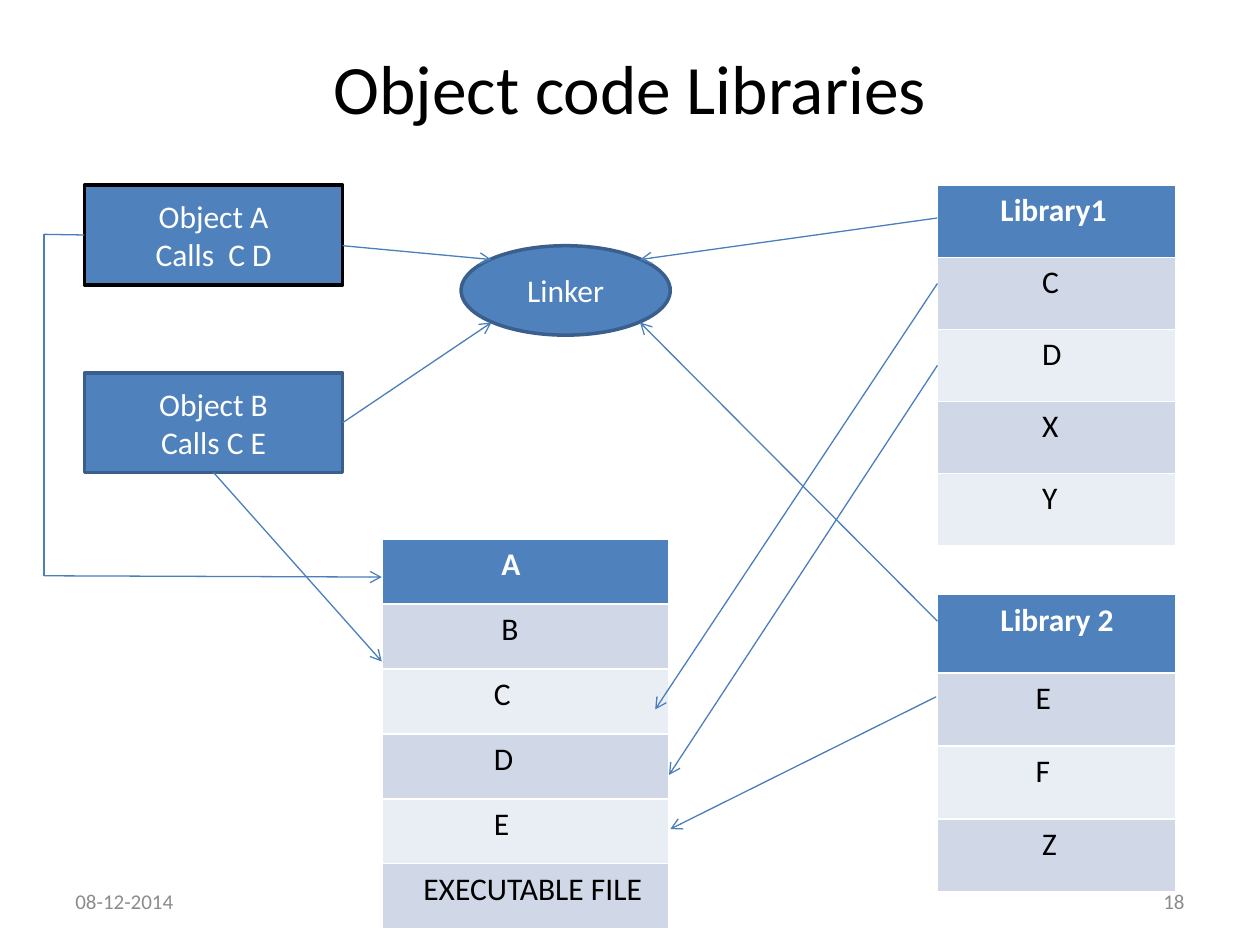
from pptx import Presentation
from pptx.dml.color import RGBColor
from pptx.enum import shapes, text
from pptx.oxml import parse_xml
from pptx.oxml.ns import nsdecls, qn
from pptx.util import Inches, Pt

BLACK = RGBColor(0, 0, 0)
WHITE = RGBColor(255, 255, 255)
GRAY = RGBColor(0x8C, 0x8C, 0x8C)
BLUE = RGBColor(0x4F, 0x81, 0xBD)
EDGE = RGBColor(0x3A, 0x5F, 0x8C)
WIRE = RGBColor(0x4B, 0x7E, 0xBC)
BANDS = [RGBColor(0xD0, 0xD8, 0xE8), RGBColor(0xE9, 0xED, 0xF4)]

RECT, OVAL = shapes.MSO_SHAPE.RECTANGLE, shapes.MSO_SHAPE.OVAL
LEFT, CENTER, RIGHT = text.PP_ALIGN.LEFT, text.PP_ALIGN.CENTER, text.PP_ALIGN.RIGHT

NODES = {
    "object_a": (RECT, (0.67, 1.47, 2.05, 0.79), ["Object A", "Calls  C D"], BLACK),
    "object_b": (RECT, (0.67, 2.96, 2.05, 0.79), ["Object B", "Calls C E"], EDGE),
    "linker": (OVAL, (3.66, 1.95, 1.66, 0.71), ["Linker"], EDGE),
}
TABLES = [
    ((3.03, 4.28, 2.28), [0.515] * 6,
     [("A", 0.95), ("B", 0.95), ("C", 0.89), ("D", 0.89), ("E", 0.89),
      ("EXECUTABLE FILE", 0.33)]),
    ((7.44, 1.47, 1.89), [0.572] * 5,
     [("Library1", 0.5), ("C", 0.83), ("D", 0.83), ("X", 0.83), ("Y", 0.83)]),
    ((7.44, 4.72, 1.89), [0.62] + [0.58] * 3,
     [("Library 2", 0.5), ("E", 0.78), ("F", 0.78), ("Z", 0.83)]),
]
LINES = [
    ((7.44, 2.25), (5.2, 5.63), True, None),
    ((7.44, 2.9), (5.31, 6.15), True, None),
    ((7.43, 5.53), (5.32, 6.58), True, None),
    ((1.69, 3.75), (3.03, 5.25), True, ("object_b", 2)),
    ((0.35, 4.57), (3.03, 4.58), True, None),
    ((0.35, 1.86), (0.35, 4.57), False, None),
    ((0.67, 1.86), (0.35, 1.86), False, ("object_a", 1)),
    ((2.72, 1.95), (3.9, 2.06), True, None),
    ((2.72, 3.34), (3.9, 2.56), True, ("object_b", 3)),
    ((7.44, 4.93), (5.08, 2.56), True, None),
    ((7.44, 1.73), (5.08, 2.06), True, None),
]
FOOTERS = [
    ((0.5, 6.95, 2.33, 0.4), "08-12-2014", LEFT),
    ((7.17, 6.95, 2.33, 0.4), "18", RIGHT),
]


def inches(values):
    return [Inches(v) for v in values]


def write(tf, lines, size, color, align, bold=False):
    tf.word_wrap = True
    for i, line in enumerate(lines):
        p = tf.paragraphs[0] if i == 0 else tf.add_paragraph()
        p.alignment = align
        r = p.add_run()
        r.text = line
        r.font.color.rgb = color
        fmt = {"name": "Calibri", "size": Pt(size), "bold": bold}
        for key, value in fmt.items():
            setattr(r.font, key, value)


def add_node(s, kind, box, lines, edge):
    sp = s.shapes.add_shape(kind, *inches(box))
    sp.shadow.inherit = False
    sp.fill.solid()
    sp.fill.fore_color.rgb = BLUE
    sp.line.color.rgb = edge
    sp.line.width = Pt(2)
    sp.text_frame.vertical_anchor = text.MSO_ANCHOR.MIDDLE
    write(sp.text_frame, lines, 18, WHITE, CENTER)
    return sp


def add_list(s, place, heights, rows):
    frame = s.shapes.add_table(len(rows), 1, *inches((*place, sum(heights))))
    for i, (label, indent) in enumerate(rows):
        frame.table.rows[i].height = Inches(heights[i])
        cell = frame.table.cell(i, 0)
        cell.margin_left = Inches(indent)
        cell.margin_right = 0
        cell.fill.solid()
        cell.fill.fore_color.rgb = BANDS[(i - 1) % 2] if i else BLUE
        write(cell.text_frame, [label], 18, BLACK if i else WHITE, LEFT, i == 0)


def add_line(s, start, end, arrow, joint, nodes):
    c = s.shapes.add_connector(shapes.MSO_CONNECTOR.STRAIGHT, *inches(start + end))
    if joint:
        c.begin_connect(nodes[joint[0]], joint[1])
    c.line.color.rgb = WIRE
    c.line.width = Pt(0.75)
    if arrow:
        c.line._get_or_add_ln().append(
            parse_xml(f'<a:tailEnd {nsdecls("a")} type="arrow"/>'))
    c._element.spPr.append(c._element.makeelement(qn("a:effectLst"), {}))


def main():
    prs = Presentation()
    prs.slide_width, prs.slide_height = Inches(10), Inches(7.5)
    s = prs.slides.add_slide(prs.slide_layouts[5])
    title = s.shapes.title
    title.left, title.top, title.width, title.height = inches((0.5, 0.3, 9, 0.77))
    title.text_frame.vertical_anchor = text.MSO_ANCHOR.MIDDLE
    write(title.text_frame, ["Object code Libraries"], 39.6, BLACK, CENTER)

    nodes = {name: add_node(s, *node) for name, node in NODES.items()}
    for table in TABLES:
        add_list(s, *table)
    for line in LINES:
        add_line(s, *line, nodes)
    for box, label, align in FOOTERS:
        tf = s.shapes.add_textbox(*inches(box)).text_frame
        tf.vertical_anchor = text.MSO_ANCHOR.MIDDLE
        write(tf, [label], 12, GRAY, align)
    prs.save("out.pptx")


if __name__ == "__main__":
    main()
